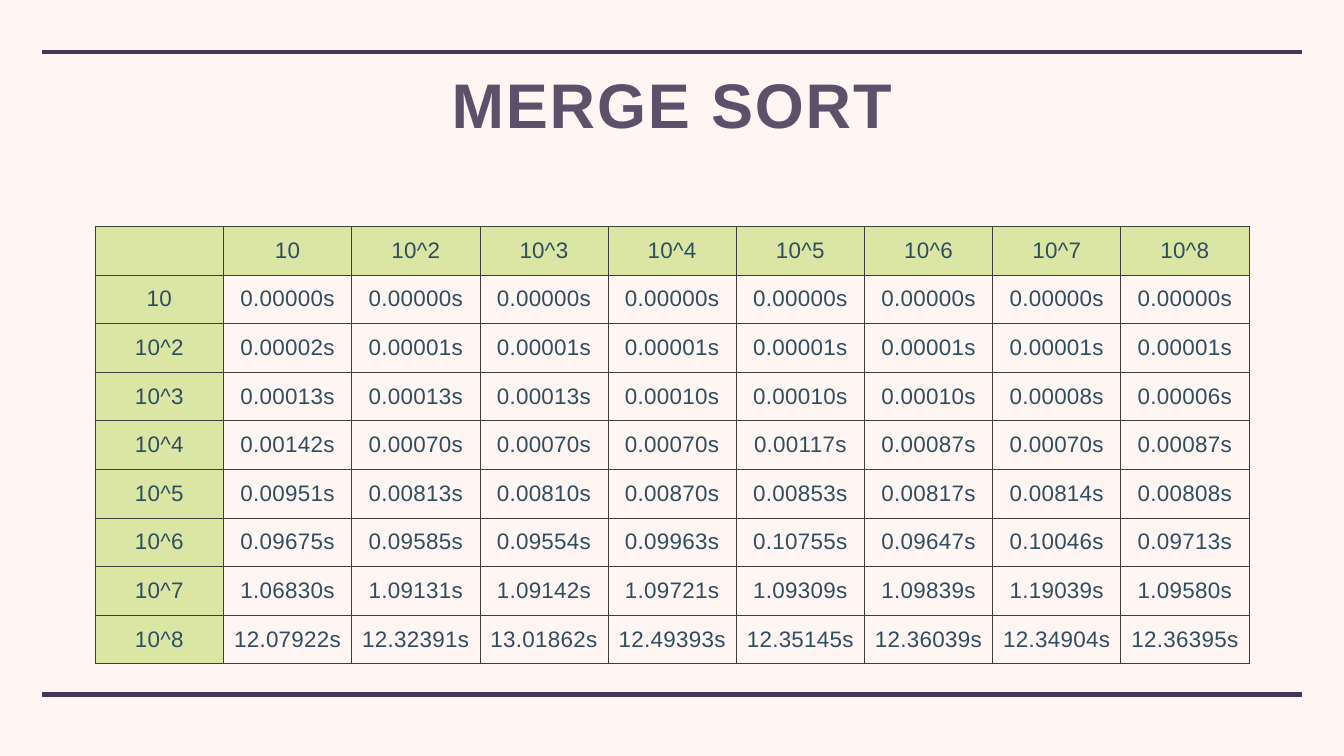
import pptx
import pptx.dml.color
import pptx.enum.shapes
import pptx.enum.text
import pptx.oxml
import pptx.oxml.ns
import pptx.util
from pptx.util import Cm

HEADING = "MERGE SORT"
SIZES = ["10", "10^2", "10^3", "10^4", "10^5", "10^6", "10^7", "10^8"]
TIMES = [
    ["0.00000s"] * 8,
    ["0.00002s"] + ["0.00001s"] * 7,
    ["0.00013s", "0.00013s", "0.00013s", "0.00010s", "0.00010s", "0.00010s", "0.00008s", "0.00006s"],
    ["0.00142s", "0.00070s", "0.00070s", "0.00070s", "0.00117s", "0.00087s", "0.00070s", "0.00087s"],
    ["0.00951s", "0.00813s", "0.00810s", "0.00870s", "0.00853s", "0.00817s", "0.00814s", "0.00808s"],
    ["0.09675s", "0.09585s", "0.09554s", "0.09963s", "0.10755s", "0.09647s", "0.10046s", "0.09713s"],
    ["1.06830s", "1.09131s", "1.09142s", "1.09721s", "1.09309s", "1.09839s", "1.19039s", "1.09580s"],
    ["12.07922s", "12.32391s", "13.01862s", "12.49393s", "12.35145s", "12.36039s", "12.34904s", "12.36395s"],
]
GRID = [["", *SIZES]] + [[size, *times] for size, times in zip(SIZES, TIMES)]

THEME = {
    "font": "Arial",
    "background": "FFF5F2",
    "rule": "443658",
    "heading": "5B516A",
    "figures": "2E4E61",
    "label_fill": "DBE6A5",
    "border": "3D3E3E",
    "heading_size": 90,
    "figures_size": 32,
    "heading_spacing": 270,
    "figures_spacing": 40,
    "rule_width": 6,
    "border_width": 1,
}

RULE_LEFT, RULE_RIGHT = 2.12, 65.6
RULE_HEIGHTS = [2.64, 35]
TABLE_LEFT, TABLE_TOP = 4.8, 11.4
COLUMN_WIDTH, ROW_HEIGHT = 6.46, 2.45
INSET = Cm(0.15)


def color(part):
    return pptx.dml.color.RGBColor.from_string(THEME[part])


def write(paragraph, words, part):
    paragraph.alignment = pptx.enum.text.PP_ALIGN.CENTER
    run = paragraph.add_run()
    run.text = words
    run.font.name = THEME["font"]
    run.font.size = pptx.util.Pt(THEME[part + "_size"])
    run.font.bold = part == "heading"
    run.font.color.rgb = color(part)
    run.font._element.set("spc", str(THEME[part + "_spacing"]))


def set_insets(holder):
    holder.margin_left = holder.margin_right = INSET
    holder.margin_top = holder.margin_bottom = INSET


def add_rule(slide, height):
    rule = slide.shapes.add_connector(
        pptx.enum.shapes.MSO_CONNECTOR.STRAIGHT,
        Cm(RULE_LEFT), Cm(height), Cm(RULE_RIGHT), Cm(height))
    rule.line.color.rgb = color("rule")
    rule.line.width = pptx.util.Pt(THEME["rule_width"])
    rule._element.spPr.append(pptx.oxml.parse_xml(
        f'<a:effectLst {pptx.oxml.ns.nsdecls("a")}/>'))


def add_heading(slide):
    heading = slide.shapes.title
    heading.left, heading.top = Cm(5.79), Cm(3.56)
    heading.width, heading.height = Cm(56.13), Cm(4.57)
    frame = heading.text_frame
    set_insets(frame)
    frame.word_wrap = True
    frame.auto_size = pptx.enum.text.MSO_AUTO_SIZE.NONE
    frame.vertical_anchor = pptx.enum.text.MSO_ANCHOR.TOP
    frame.paragraphs[0].line_spacing = 0.9
    write(frame.paragraphs[0], HEADING, "heading")


def outline(cell):
    width = pptx.util.Pt(THEME["border_width"])
    properties = cell._tc.get_or_add_tcPr()
    for side in ("lnL", "lnR", "lnT", "lnB"):
        properties.append(pptx.oxml.parse_xml(
            f'<a:{side} {pptx.oxml.ns.nsdecls("a")} w="{width}"><a:solidFill>'
            f'<a:srgbClr val="{THEME["border"]}"/></a:solidFill></a:{side}>'))


def add_timings(slide):
    rows, columns = len(GRID), len(GRID[0])
    timings = slide.shapes.add_table(
        rows, columns, Cm(TABLE_LEFT), Cm(TABLE_TOP),
        Cm(COLUMN_WIDTH * columns), Cm(ROW_HEIGHT * rows)).table
    timings.first_row = timings.horz_banding = False
    for column in timings.columns:
        column.width = Cm(COLUMN_WIDTH)
    for r, entries in enumerate(GRID):
        timings.rows[r].height = Cm(ROW_HEIGHT)
        for c, entry in enumerate(entries):
            cell = timings.cell(r, c)
            set_insets(cell)
            cell.vertical_anchor = pptx.enum.text.MSO_ANCHOR.MIDDLE
            outline(cell)
            if r == 0 or c == 0:
                cell.fill.solid()
                cell.fill.fore_color.rgb = color("label_fill")
            else:
                cell.fill.background()
            if entry:
                write(cell.text_frame.paragraphs[0], entry, "figures")


def main():
    deck = pptx.Presentation()
    deck.slide_width, deck.slide_height = Cm(67.73), Cm(38.1)
    slide = deck.slides.add_slide(deck.slide_layouts.get_by_name("Title Only"))
    slide.background.fill.solid()
    slide.background.fill.fore_color.rgb = color("background")
    for height in RULE_HEIGHTS:
        add_rule(slide, height)
    add_heading(slide)
    add_timings(slide)
    deck.save("out.pptx")


if __name__ == "__main__":
    main()
